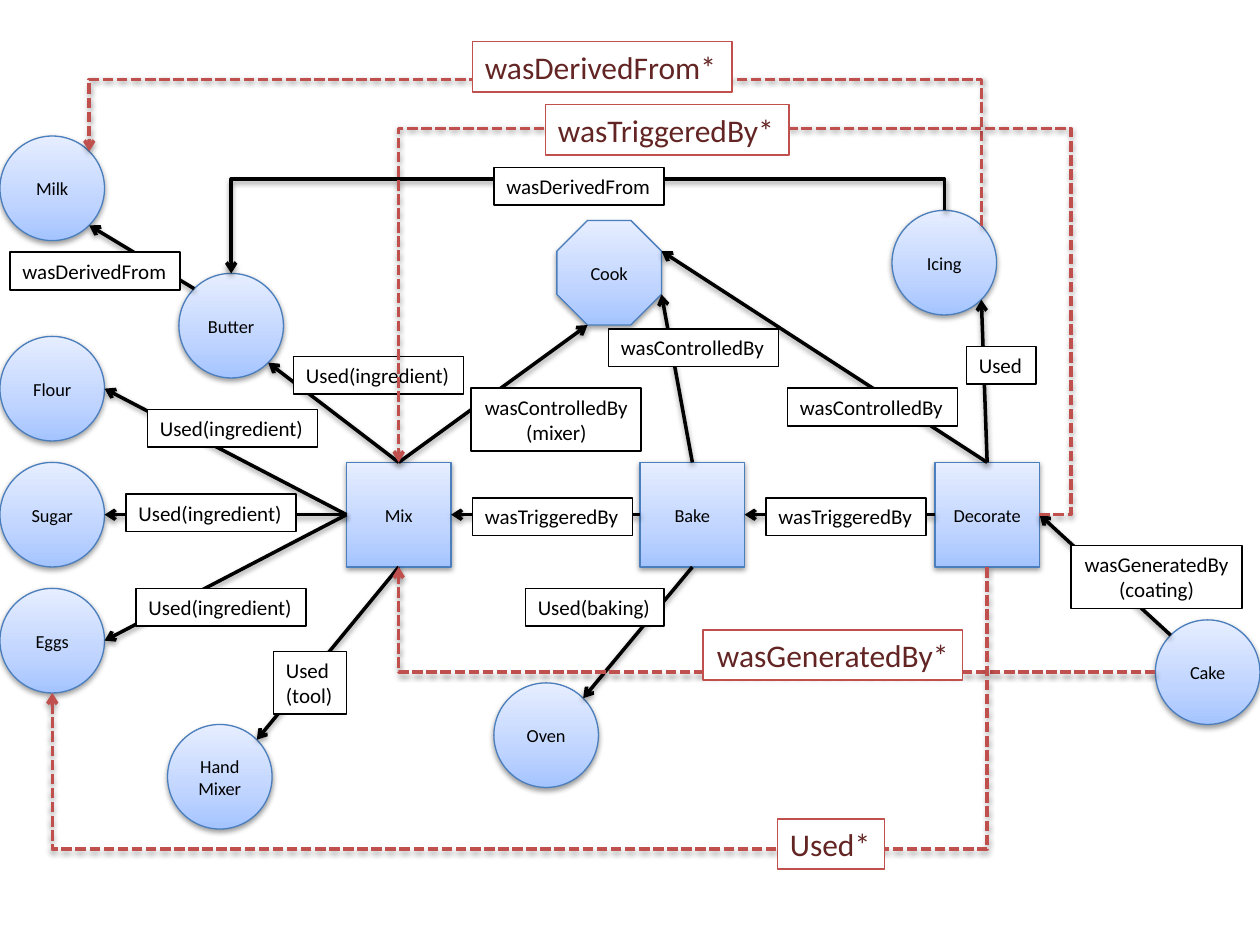
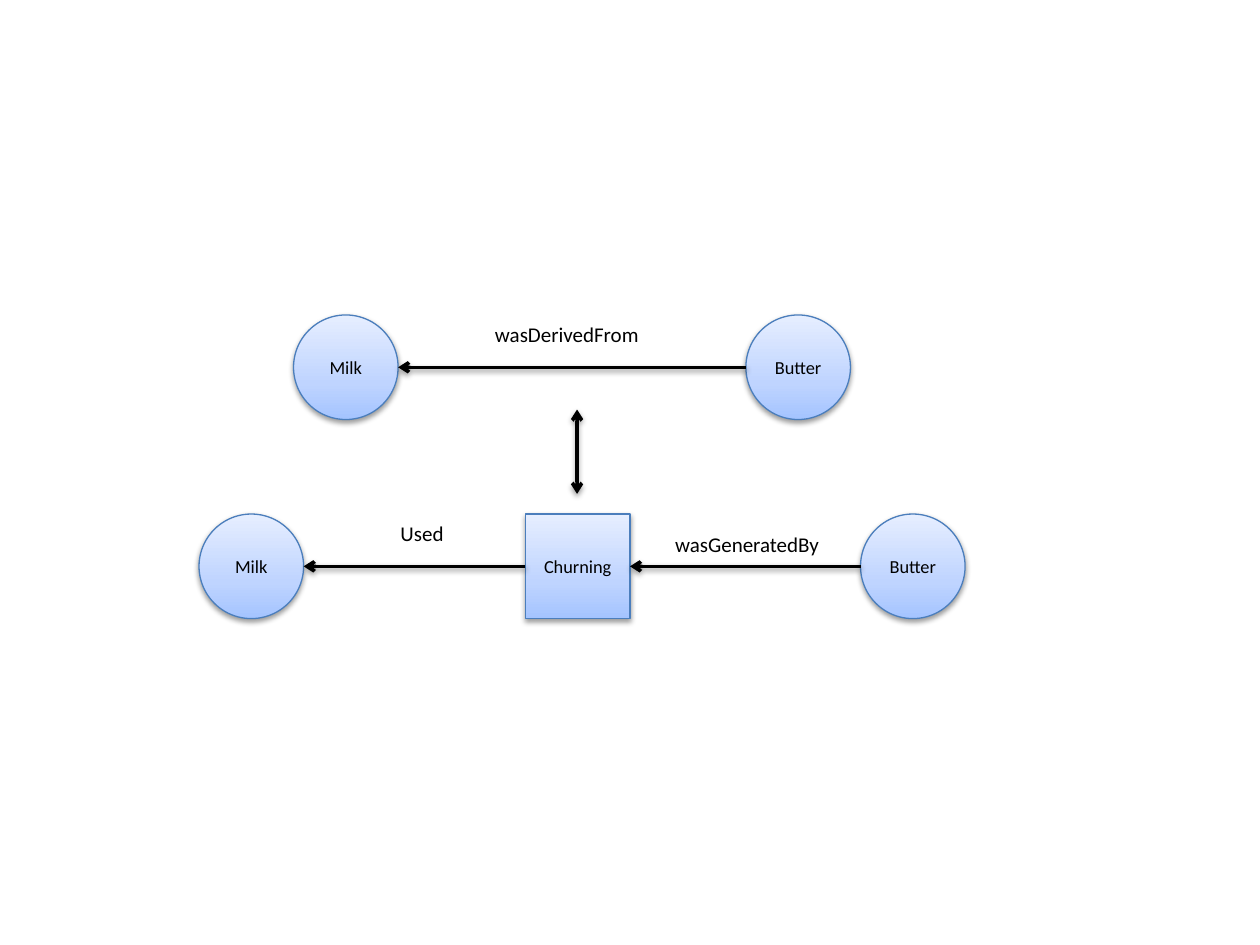
from dataclasses import dataclass

from lxml import etree
from pptx import Presentation
from pptx.dml.color import RGBColor
from pptx.enum.dml import MSO_LINE
from pptx.enum.shapes import MSO_CONNECTOR, MSO_SHAPE
from pptx.enum.text import MSO_ANCHOR, MSO_AUTO_SIZE, PP_ALIGN
from pptx.oxml import parse_xml
from pptx.oxml.ns import nsdecls, qn
from pptx.util import Inches, Pt

OVAL, RECT, OCTAGON = MSO_SHAPE.OVAL, MSO_SHAPE.RECTANGLE, MSO_SHAPE.OCTAGON
STRAIGHT, ELBOW = MSO_CONNECTOR.STRAIGHT, MSO_CONNECTOR.ELBOW
LEFT, CENTER = PP_ALIGN.LEFT, PP_ALIGN.CENTER
MIDDLE = MSO_ANCHOR.MIDDLE
FIT_SHAPE = MSO_AUTO_SIZE.SHAPE_TO_FIT_TEXT
SYS_DASH = MSO_LINE.SQUARE_DOT


@dataclass(frozen=True)
class Theme:
    font: str = "Calibri"
    ink: str = "000000"
    paper: str = "FFFFFF"
    node_line: str = "4B7EBC"
    node_stops: tuple = ((0, "A4C4FF"), (35, "BFD4FF"), (100, "E6EEFF"))
    inferred_line: str = "C0504D"
    inferred_text: str = "632523"
    node_size: float = 10.5
    label_size: float = 12
    inferred_size: float = 18
    node_side: float = 0.83


T = Theme()

# Connection sites in glue order: name, then fraction of width and height
D, K = 0.146, 0.293  # corner insets of the circle and the octagon
SITES = {
    RECT: (("t", 0.5, 0), ("l", 0, 0.5), ("b", 0.5, 1), ("r", 1, 0.5)),
    OVAL: (("t", 0.5, 0), ("tl", D, D), ("l", 0, 0.5), ("bl", D, 1 - D),
           ("b", 0.5, 1), ("br", 1 - D, 1 - D), ("r", 1, 0.5), ("tr", 1 - D, D)),
    OCTAGON: (("rt", 1, K), ("rb", 1, 1 - K), ("br", 1 - K, 1), ("bl", K, 1)),
}


def rgb(value):
    return RGBColor.from_string(value)


def add_shadow(shape):
    shape._element.spPr.append(parse_xml(
        f'<a:effectLst {nsdecls("a")}><a:outerShdw blurRad="40000" dist="20000" '
        'dir="5400000" rotWithShape="0"><a:srgbClr val="000000">'
        '<a:alpha val="38000"/></a:srgbClr></a:outerShdw></a:effectLst>'))


def set_outline(shape, color, width):
    shape.line.color.rgb = rgb(color)
    shape.line.width = Pt(width)


def write(tf, lines, size, color, align):
    for i, line in enumerate(lines):
        p = tf.paragraphs[0] if i == 0 else tf.add_paragraph()
        p.alignment = align
        r = p.add_run()
        r.text = line
        r.font.name, r.font.size = T.font, Pt(size)
        r.font.color.rgb = rgb(color)


class Diagram:
    """Places nodes, links and labels relative to a box (left, top)."""

    def __init__(self, s, box):
        self.shapes = s.shapes
        self.left, self.top = box

    def at(self, x, y):
        return Inches(self.left + x), Inches(self.top + y)

    def node(self, text, x, y, kind=OVAL):
        side = Inches(T.node_side)
        sp = self.shapes.add_shape(kind, *self.at(x, y), side, side)
        stops = "".join(f'<a:gs pos="{pos * 1000}"><a:srgbClr val="{c}"/></a:gs>'
                        for pos, c in T.node_stops)
        sp._element.spPr.append(parse_xml(
            f'<a:gradFill {nsdecls("a")} rotWithShape="1"><a:gsLst>{stops}</a:gsLst>'
            '<a:lin ang="16200000" scaled="0"/></a:gradFill>'))
        set_outline(sp, T.node_line, 0.75)
        add_shadow(sp)
        tf = sp.text_frame
        tf.word_wrap, tf.vertical_anchor = True, MIDDLE
        write(tf, [text], T.node_size, T.ink, CENTER)
        return sp

    def label(self, lines, x, y, w, align=LEFT, border=T.ink, color=T.ink,
              size=T.label_size, h=None):
        h = h or 0.1 + 0.2 * len(lines)
        sp = self.shapes.add_textbox(*self.at(x, y), Inches(w), Inches(h))
        if border:
            sp.fill.solid()
            sp.fill.fore_color.rgb = rgb(T.paper)
            set_outline(sp, border, 1)
        tf = sp.text_frame
        tf.word_wrap, tf.auto_size = False, FIT_SHAPE
        write(tf, lines, size, color, align)

    def inferred_label(self, text, x, y, w, align=LEFT):
        self.label([text], x, y, w, align, T.inferred_line, T.inferred_text,
                   T.inferred_size, 0.4)

    def arrow(self, start, end, kind=STRAIGHT, inferred=False, heads=("tailEnd",)):
        cxn = self.shapes.add_connector(kind, *start, *end)
        set_outline(cxn, T.inferred_line if inferred else T.ink, 2)
        if inferred:
            cxn.line.dash_style = SYS_DASH
        ln = cxn._element.spPr.find(qn("a:ln"))
        for head in heads:
            etree.SubElement(ln, qn(f"a:{head}"), type="arrow")
        add_shadow(cxn)
        return cxn

    def link(self, a, a_site, b, b_site, route=None, inferred=False):
        """Joins two nodes; route names the lanes of a bent connector."""
        (i, start), (j, end) = find_site(a, a_site), find_site(b, b_site)
        cxn = self.arrow(start, end, STRAIGHT if route is None else ELBOW, inferred)
        if route is not None:
            bend(cxn, start, end, **{k: self.at(v, v)["xy".index(k)]
                                     for k, v in route.items()})
        ends = cxn._element.nvCxnSpPr.cNvCxnSpPr
        for tag, shape, idx in (("stCxn", a, i), ("endCxn", b, j)):
            etree.SubElement(ends, qn(f"a:{tag}"), id=str(shape.shape_id), idx=str(idx))


def find_site(shape, name):
    for i, (key, fx, fy) in enumerate(SITES[shape.auto_shape_type]):
        if key == name:
            return i, (round(shape.left + fx * shape.width),
                       round(shape.top + fy * shape.height))
    raise KeyError(name)


def bend(cxn, start, end, x=None, y=None):
    """No lane: one corner. Lane y: a U. Lanes x and y: three corners."""
    (x0, y0), (x1, y1) = start, end
    dx, dy = x1 - x0, y1 - y0
    adjust = []
    if x is not None:
        adjust.append((x - x0) / dx)
    if y is not None:
        adjust.append((y - y0) / dy)
    geom = cxn._element.spPr.find(qn("a:prstGeom"))
    geom.set("prst", f"bentConnector{2 + len(adjust)}")
    av = geom.find(qn("a:avLst"))
    for i, value in enumerate(adjust, 1):
        etree.SubElement(av, qn("a:gd"), name=f"adj{i}", fmla=f"val {round(value * 100000)}")
    if len(adjust) == 1:  # a U leaves vertically, so its frame is turned
        w, h = abs(dy), abs(dx)
        cxn.left, cxn.top = (x0 + x1 - w) // 2, (y0 + y1 - h) // 2
        cxn.width, cxn.height = w, h
        xfrm = cxn._element.spPr.find(qn("a:xfrm"))
        xfrm.set("rot", "5400000")
        xfrm.set("flipH", str(int(dy < 0)))
        xfrm.set("flipV", str(int(dx > 0)))


def provenance_graph(s, box):
    d = Diagram(s, box)

    # Artifacts, processes and the agent
    nodes = {name: d.node(name, x, y, kind) for name, x, y, kind in (
        ("Cake", 9.17, 4.92, OVAL), ("Cook", 4.42, 1.75, OCTAGON),
        ("Milk", 0, 1.08, OVAL), ("Butter", 1.42, 2.17, OVAL),
        ("Flour", 0, 2.67, OVAL), ("Sugar", 0, 3.67, OVAL), ("Eggs", 0, 4.67, OVAL),
        ("Oven", 3.92, 5.42, OVAL), ("Icing", 7.08, 1.67, OVAL),
        ("Hand Mixer", 1.33, 5.75, OVAL), ("Mix", 2.75, 3.67, RECT),
        ("Bake", 5.08, 3.67, RECT), ("Decorate", 7.42, 3.67, RECT))}

    # Recorded dependencies
    for a, a_site, b, b_site in (
            ("Cake", "tl", "Decorate", "r"), ("Bake", "l", "Mix", "r"),
            ("Decorate", "l", "Bake", "r"), ("Bake", "t", "Cook", "rb"),
            ("Mix", "t", "Cook", "bl"), ("Decorate", "t", "Cook", "rt"),
            ("Bake", "b", "Oven", "tr"), ("Mix", "l", "Eggs", "r"),
            ("Mix", "l", "Sugar", "r"), ("Mix", "l", "Flour", "r"),
            ("Mix", "t", "Butter", "br"), ("Butter", "tl", "Milk", "br"),
            ("Decorate", "t", "Icing", "br"), ("Mix", "b", "Hand Mixer", "tr")):
        d.link(nodes[a], a_site, nodes[b], b_site)
    d.link(nodes["Icing"], "t", nodes["Butter"], "t", {"y": 1.42})

    for x, y in ((2.33, 2.83), (1.17, 3.25), (1, 3.92), (1.08, 4.67)):
        d.label(["Used(ingredient)"], x, y, 1.35)
    for x in (3.75, 6.08):
        d.label(["wasTriggeredBy"], x, 3.95, 1.27)
    for x, y in ((4.83, 2.61), (6.25, 3.08)):
        d.label(["wasControlledBy"], x, y, 1.35)
    for x, y in ((0.08, 2), (3.92, 1.33)):
        d.label(["wasDerivedFrom"], x, y, 1.35)
    d.label(["wasControlledBy", "(mixer)"], 3.74, 3.08, 1.35, CENTER)
    d.label(["wasGeneratedBy", "(coating)"], 8.5, 4.33, 1.36, CENTER)
    d.label(["Used(baking)"], 4.17, 4.67, 1.1)
    d.label(["Used", "(tool)"], 2.17, 5.17, 0.58)
    d.label(["Used"], 7.67, 2.75, 0.55)

    # Inferred dependencies
    for a, a_site, b, b_site, route in (
            ("Icing", "tr", "Milk", "tr", {"y": 0.63}),
            ("Cake", "l", "Mix", "b", {}),
            ("Decorate", "r", "Mix", "t", {"x": 8.5, "y": 1.02}),
            ("Decorate", "b", "Eggs", "b", {"y": 6.74})):
        d.link(nodes[a], a_site, nodes[b], b_site, route, inferred=True)
    d.inferred_label("wasDerivedFrom*", 3.75, 0.33, 2.06)
    d.inferred_label("wasGeneratedBy*", 5.58, 5, 2.06, CENTER)
    d.inferred_label("wasTriggeredBy*", 4.33, 0.83, 1.93)
    d.inferred_label("Used*", 6.17, 6.5, 0.85)


def derivation_equivalence(s, box):
    d = Diagram(s, box)
    lower = 1.58

    # Direct derivation
    milk, butter = d.node("Milk", 0.75, 0), d.node("Butter", 4.34, 0)
    d.link(butter, "l", milk, "r")
    d.label(["wasDerivedFrom"], 2.25, 0, 1.35, border=None)

    # Derivation through a process
    milk, butter = d.node("Milk", 0, lower), d.node("Butter", 5.25, lower)
    churning = d.node("Churning", 2.59, lower, RECT)
    d.link(churning, "l", milk, "r")
    d.link(butter, "l", churning, "r")
    d.label(["Used"], 1.5, lower, 0.55, border=None)
    d.label(["wasGeneratedBy"], 3.67, 1.67, 1.36, CENTER, border=None)

    # Equivalence of both
    d.arrow(d.at(3, 0.75), d.at(3, 1.42), heads=("headEnd", "tailEnd"))


prs = Presentation()
prs.slide_width, prs.slide_height = Inches(10), Inches(7.5)
blank = prs.slide_layouts[6]
provenance_graph(prs.slides.add_slide(blank), (0, 0))
derivation_equivalence(prs.slides.add_slide(blank), (1.58, 2.5))
prs.save("out.pptx")
